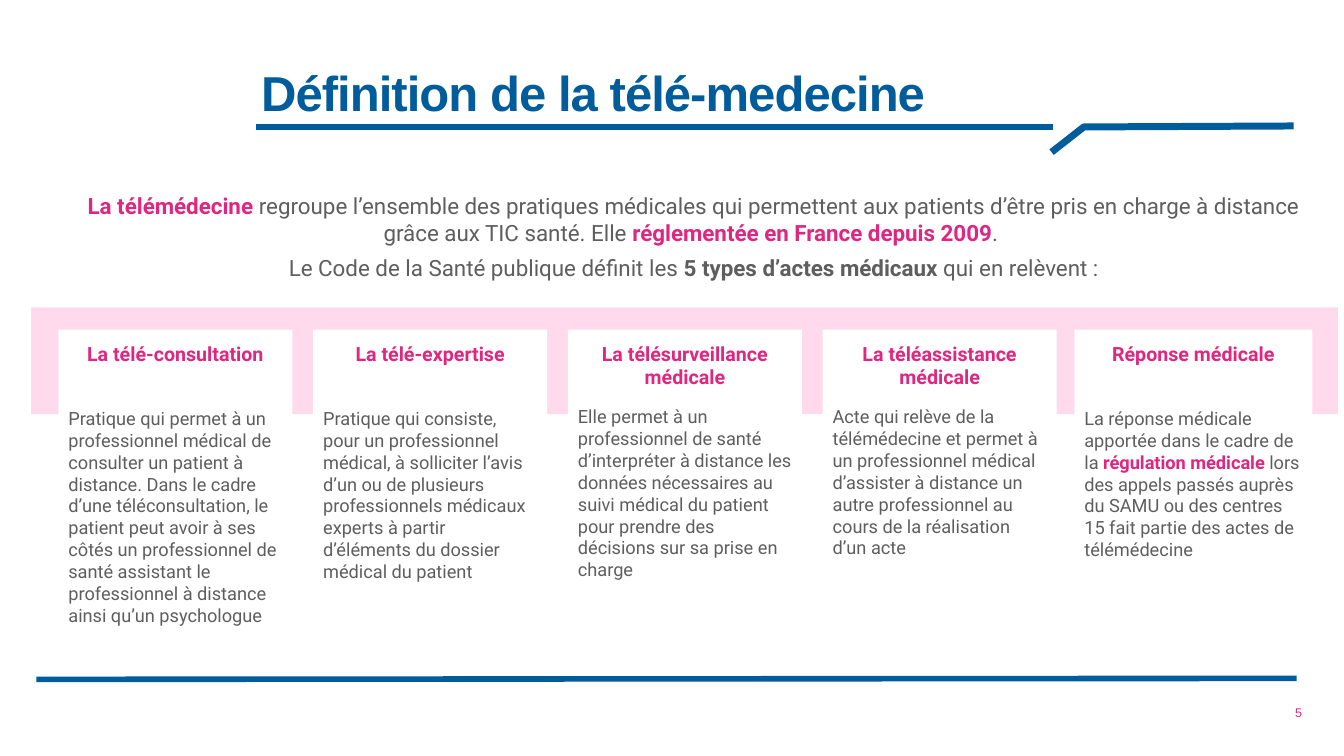
from lxml.etree import SubElement
from pptx import Presentation
from pptx.dml.color import RGBColor
from pptx.enum.shapes import MSO_CONNECTOR, MSO_SHAPE
from pptx.enum.text import MSO_ANCHOR, MSO_AUTO_SIZE, PP_ALIGN
from pptx.oxml.ns import qn
from pptx.util import Inches, Pt

BLUE = RGBColor(0x00, 0x5C, 0x9B)
PINK = RGBColor(0xDF, 0x26, 0x80)
NUMBER_PINK = RGBColor(0xDB, 0x30, 0x80)
PALE_PINK = RGBColor(0xFF, 0xD9, 0xEC)
GREY = RGBColor(0x5E, 0x5E, 0x5E)
WHITE = RGBColor(0xFF, 0xFF, 0xFF)

CARD_COUNT = 5
CARD_PITCH = (8.16 - 0.58) / 3
HEADING = {"size": Pt(14), "color": PINK, "bold": True}
BODY = {"size": Pt(13), "color": GREY, "bold": False}
INTRO = {"size": Pt(16), "color": GREY, "bold": False}
STRONG = {"bold": True}
KEYWORD = {"color": PINK, "bold": True}

# Each card: heading, height, space after the heading, spans of the definition
CARDS = [
    ("La télé-consultation", 3.01, 18, [
        ("Pratique qui permet à un professionnel médical de consulter un patient à distance. "
         "Dans le cadre d’une téléconsultation, le patient peut avoir à ses côtés un professionnel "
         "de santé assistant le professionnel à distance ainsi qu’un psychologue", {})]),
    ("La télé-expertise", 2.58, 18, [
        ("Pratique qui consiste, pour un professionnel médical, à solliciter l’avis d’un ou de "
         "plusieurs professionnels médicaux experts à partir d’éléments du dossier médical "
         "du patient", {})]),
    ("La télésurveillance médicale", 2.56, 0, [
        ("Elle permet à un professionnel de santé d’interpréter à distance les données nécessaires "
         "au suivi médical du patient pour prendre des décisions sur sa prise en charge", {})]),
    ("La téléassistance médicale", 2.34, 0, [
        ("Acte qui relève de la télémédecine et permet à un professionnel médical d’assister à "
         "distance un autre professionnel au cours de la réalisation d’un acte", {})]),
    ("Réponse médicale", 2.36, 18, [
        ("La réponse médicale apportée dans le cadre de la ", {}),
        ("régulation médicale ", KEYWORD),
        ("lors des appels passés auprès du SAMU ou des centres 15 fait partie des actes "
         "de télémédecine", {})]),
]


def set_frame(shape, margins, anchor=MSO_ANCHOR.TOP, wrap=True, grow=True):
    frame = shape.text_frame
    left, top, right, bottom = map(Inches, margins)
    fit = MSO_AUTO_SIZE.SHAPE_TO_FIT_TEXT if grow else MSO_AUTO_SIZE.NONE
    settings = {"margin_left": left, "margin_top": top, "margin_right": right,
                "margin_bottom": bottom, "vertical_anchor": anchor,
                "word_wrap": wrap, "auto_size": fit}
    for name, value in settings.items():
        setattr(frame, name, value)
    return frame


def fill_para(para, spans, style, font_name="Roboto", **layout):
    for name, value in layout.items():
        setattr(para, name, value)
    for text, changes in spans:
        span = para.add_run()
        span.text = text
        span.font.name = font_name
        for name, value in {**style, **changes}.items():
            if name == "color":
                span.font.color.rgb = value
            else:
                setattr(span.font, name, value)


def add_rectangle(page, box, color):
    shape = page.shapes.add_shape(MSO_SHAPE.RECTANGLE, *map(Inches, box))
    shape.shadow.inherit = False
    shape.fill.solid()
    shape.fill.fore_color.rgb = color
    shape.line.fill.background()
    return shape


def add_rule(page, start, end, width):
    rule = page.shapes.add_connector(MSO_CONNECTOR.STRAIGHT, *map(Inches, start + end))
    rule.line.color.rgb = BLUE
    rule.line.width = Pt(width)
    SubElement(rule._element.spPr, qn("a:effectLst"))


def add_title(page, box):
    left, top, width, height = box
    base = top + height
    # Underline and its raised end
    add_rule(page, (left + 0.01, base), (left + 7.91, base), 5)
    corners = [(Inches(left + x), Inches(base + y))
               for x, y in [(7.9, 0.25), (8.22, 0), (10.3, -0.01)]]
    builder = page.shapes.build_freeform(*corners[0])
    builder.add_line_segments(corners[1:], close=False)
    hook = builder.convert_to_shape()
    hook.shadow.inherit = False
    hook.fill.background()
    hook.line.color.rgb = BLUE
    hook.line.width = Pt(5)
    # Title text
    frame = set_frame(page.shapes.add_textbox(*map(Inches, box)), (0.06,) * 4,
                      MSO_ANCHOR.BOTTOM, grow=False)
    para = frame.paragraphs[0]
    fill_para(para, [("Définition de la télé-medecine", {})],
              {"size": Pt(35), "color": BLUE, "bold": True}, "Arial", line_spacing=0.8)
    para.runs[0].font._element.set("spc", "-70")


def add_intro(page, box):
    frame = set_frame(page.shapes.add_textbox(*map(Inches, box)), (0.1, 0.05, 0.1, 0.05))
    fill_para(frame.paragraphs[0], [
        ("La télémédecine ", KEYWORD),
        ("regroupe l’ensemble des pratiques médicales qui permettent aux patients d’être pris "
         "en charge à distance grâce aux TIC santé. Elle ", {}),
        ("réglementée en France depuis 2009", KEYWORD),
        (". ", {})], INTRO, alignment=PP_ALIGN.CENTER)
    fill_para(frame.add_paragraph(), [
        ("Le Code de la Santé publique définit les ", {}),
        ("5 types d’actes médicaux ", STRONG),
        ("qui en relèvent :", {})], INTRO, alignment=PP_ALIGN.CENTER, space_before=Pt(6))


def add_card(page, box, heading, gap, spans):
    frame = set_frame(add_rectangle(page, box, WHITE), (0.1, 0.12, 0.1, 0.05))
    fill_para(frame.paragraphs[0], [(heading, {})], HEADING,
              alignment=PP_ALIGN.CENTER, space_after=Pt(gap))
    fill_para(frame.add_paragraph(), spans, BODY,
              alignment=PP_ALIGN.LEFT, space_before=Pt(12))


def add_cards(page, box):
    add_rectangle(page, box, PALE_PINK)
    left, top = box[0] + 0.27, box[1] + 0.22
    for column, (heading, height, gap, spans) in enumerate(CARDS):
        # The last card is slightly wider, to the left
        last = column == CARD_COUNT - 1
        shift, width = (-0.03, 2.36) if last else (0, 2.32)
        card_box = (left + column * CARD_PITCH + shift, top, width, height)
        add_card(page, card_box, heading, gap, spans)


def add_footer(page, box):
    left, top, width, height = box
    add_rule(page, (left, top + 0.01), (left + width, top), 4)
    number_box = (left + width - 0.15, top + height - 0.26, 0.34, 0.26)
    frame = set_frame(page.shapes.add_textbox(*map(Inches, number_box)), (0.06,) * 4,
                      MSO_ANCHOR.BOTTOM, wrap=False)
    fill_para(frame.paragraphs[0], [("5", {})], {"size": Pt(9), "color": NUMBER_PINK},
              "Arial", alignment=PP_ALIGN.CENTER)


def main():
    deck = Presentation()
    deck.slide_width, deck.slide_height = Inches(13.33), Inches(7.5)
    page = deck.slides.add_slide(deck.slide_layouts[6])
    add_title(page, (2.53, 0.02, 9.01, 1.24))
    add_intro(page, (0.63, 1.86, 12.5, 0.99))
    add_cards(page, (0.31, 3.05, 12.96, 1.06))
    add_footer(page, (0.36, 6.73, 12.5, 0.47))
    deck.save("out.pptx")


if __name__ == "__main__":
    main()
